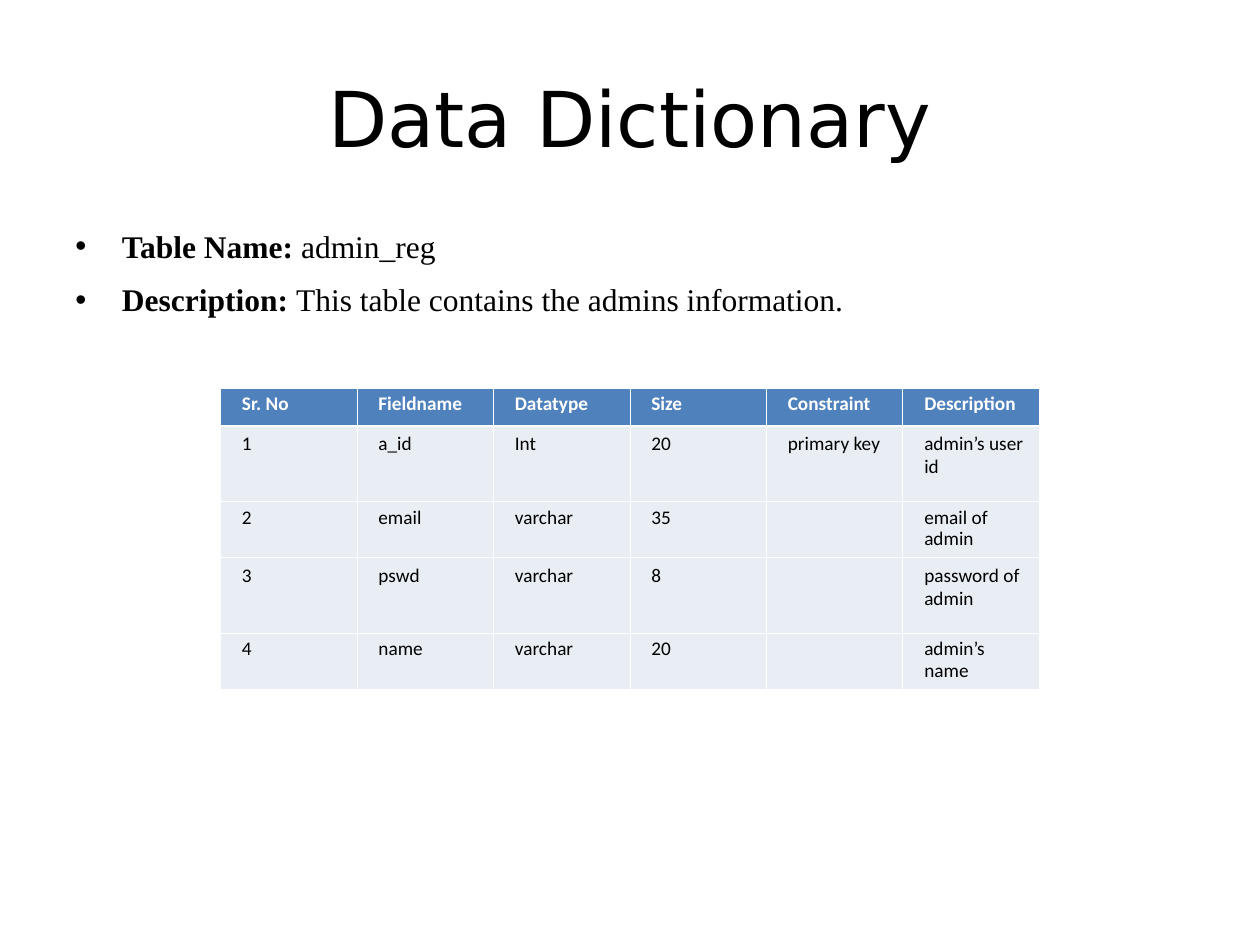
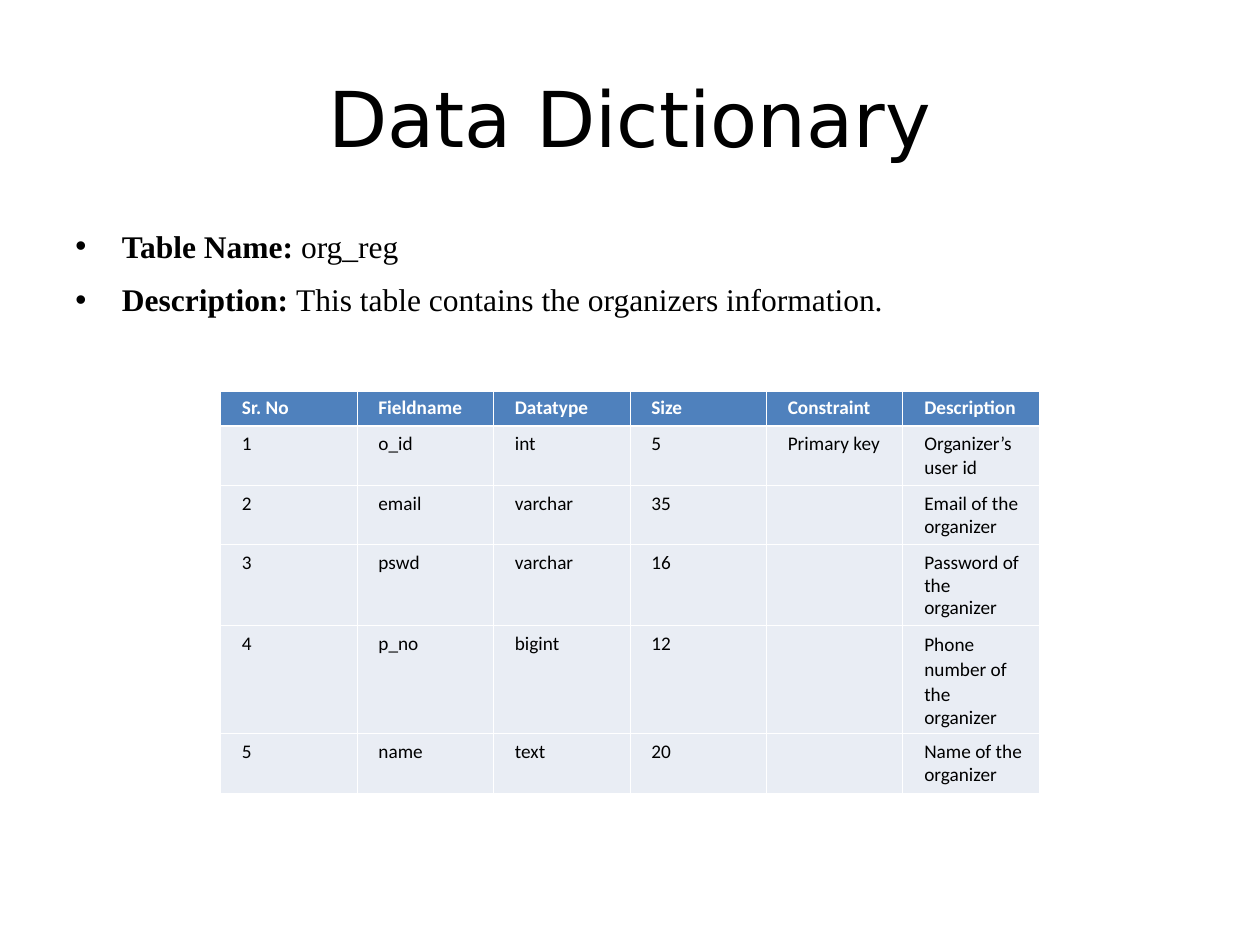
from pptx import Presentation
from pptx.dml.color import RGBColor
from pptx.enum.text import MSO_ANCHOR, PP_ALIGN
from pptx.oxml.ns import qn
from pptx.util import Inches, Pt
from lxml import etree

MIDDLE = MSO_ANCHOR.MIDDLE
CENTER = PP_ALIGN.CENTER

COLORS = {"ink": "000000", "paper": "FFFFFF", "head": "4F81BD", "row": "E9EDF4"}
FONTS = {
    "title": {"name": "DejaVu Sans", "size": Pt(44)},
    "label": {"name": "Times New Roman", "size": Pt(18), "bold": True},
    "value": {"name": "Times New Roman", "size": Pt(18), "bold": False},
    "head": {"name": "Calibri", "size": Pt(11), "bold": True},
    "cell": {"name": "Calibri", "size": Pt(11), "bold": False},
}
TIGHT = {"line_spacing": Pt(12.4)}
NEXT = {"line_spacing": Pt(12.5), "space_before": Pt(0.7)}
LOOSE = {"line_spacing": 1.05}
LONG = 15
THIN, THICK = Pt(0.45), Pt(1.47)
HEADS = ("Sr. No", "Fieldname", "Datatype", "Size", "Constraint", "Description")

# Each field: name, datatype, size, constraint, lines of the description
ADMIN = [
    ("a_id", "Int", "20", "primary key", "admin’s user\nid"),
    ("email", "varchar", "35", "", "email of admin"),
    ("pswd", "varchar", "8", "", "password of\nadmin"),
    ("name", "varchar", "20", "", "admin’s name"),
]
ORG = [
    ("o_id", "int", "5", "Primary key", "Organizer’s\nuser id"),
    ("email", "varchar", "35", "", "Email of the\norganizer"),
    ("pswd", "varchar", "16", "", "Password of\nthe organizer"),
    ("p_no", "bigint", "12", "", "Phone number of the\norganizer"),
    ("name", "text", "20", "", "Name of the\norganizer"),
]


def apply(target, form):
    for key, value in form.items():
        setattr(target, key, value)


class Deck:
    def __init__(self):
        self.prs = Presentation()
        apply(self.prs, {"slide_width": Inches(10), "slide_height": Inches(7.5)})
        self.slide = None

    def start(self):
        self.slide = self.prs.slides.add_slide(self.prs.slide_layouts[6])

    def frame(self, left, top, width, height):
        box = self.slide.shapes.add_textbox(
            Inches(left), Inches(top), Inches(width), Inches(height))
        box.text_frame.word_wrap = True
        return box.text_frame

    def add_text(self, para, text, font, color="ink"):
        run = para.add_run()
        run.text = text
        apply(run.font, FONTS[font])
        run.font.color.rgb = RGBColor.from_string(COLORS[color])

    def title(self, text):
        frame = self.frame(0.5, 0.3, 9, 1.25)
        frame.vertical_anchor = MIDDLE
        para = frame.paragraphs[0]
        para.alignment = CENTER
        self.add_text(para, text, "title")

    def bullets(self, pairs):
        frame = self.frame(0.5, 1.75, 9, 4.95)
        for i, (label, value) in enumerate(pairs):
            para = frame.add_paragraph() if i else frame.paragraphs[0]
            para.space_before = Pt(9.1 if i else 0)
            self.add_text(para, label + ": ", "label")
            self.add_text(para, value, "value")
            props = para._p.get_or_add_pPr()
            props.set("marL", str(Inches(0.37)))
            props.set("indent", str(-Inches(0.37)))
            etree.SubElement(props, qn("a:buFont"), typeface="Arial")
            etree.SubElement(props, qn("a:buChar"), char="•")

    def border(self, cell, top, bottom):
        props = cell._tc.get_or_add_tcPr()
        for side, width in zip("LRTB", (THIN, THIN, top, bottom)):
            line = etree.SubElement(props, qn("a:ln" + side), w=str(width))
            fill = etree.SubElement(line, qn("a:solidFill"))
            etree.SubElement(fill, qn("a:srgbClr"), val=COLORS["paper"])

    def cell(self, cell, text, row, tight):
        head = row == 0
        self.border(cell, THICK if row == 1 else THIN, THICK if head else THIN)
        cell.fill.solid()
        cell.fill.fore_color.rgb = RGBColor.from_string(COLORS["head" if head else "row"])
        for i, line in enumerate(text.split("\n")):
            para = cell.text_frame.add_paragraph() if i else cell.text_frame.paragraphs[0]
            if not line:
                para.font.size = FONTS["cell"]["size"]
                continue
            para._p.get_or_add_pPr().set("marL", str(Inches(0.07)))
            if tight:
                apply(para, TIGHT)
            elif i:
                apply(para, NEXT)
            elif len(line) > LONG:
                apply(para, LOOSE)
            self.add_text(para, line, "head" if head else "cell", "paper" if head else "ink")

    def table(self, fields, top, heights):
        rows = [HEADS] + [(str(i), *field) for i, field in enumerate(fields, 1)]
        grid = self.slide.shapes.add_table(
            len(rows), len(HEADS), Inches(1.75), Inches(top),
            Inches(6.5), Inches(sum(heights))).table
        grid.horz_banding = False
        for r, (texts, height) in enumerate(zip(rows, heights)):
            grid.rows[r].height = Inches(height)
            tight = "\n" not in texts[-1]
            for c, text in enumerate(texts):
                self.cell(grid.cell(r, c), text, r, tight)


def main():
    deck = Deck()
    pages = [
        ("admin_reg", "admins", ADMIN, 3.08, (0.3, 0.6, 0.3, 0.6, 0.3)),
        ("org_reg", "organizers", ORG, 3.11, (0.23, 0.47, 0.47, 0.47, 0.7, 0.47)),
    ]
    for name, group, fields, top, heights in pages:
        deck.start()
        deck.title("Data Dictionary")
        deck.bullets([
            ("Table Name", name),
            ("Description", f"This table contains the {group} information."),
        ])
        deck.table(fields, top, heights)
    deck.prs.save("out.pptx")


if __name__ == "__main__":
    main()
